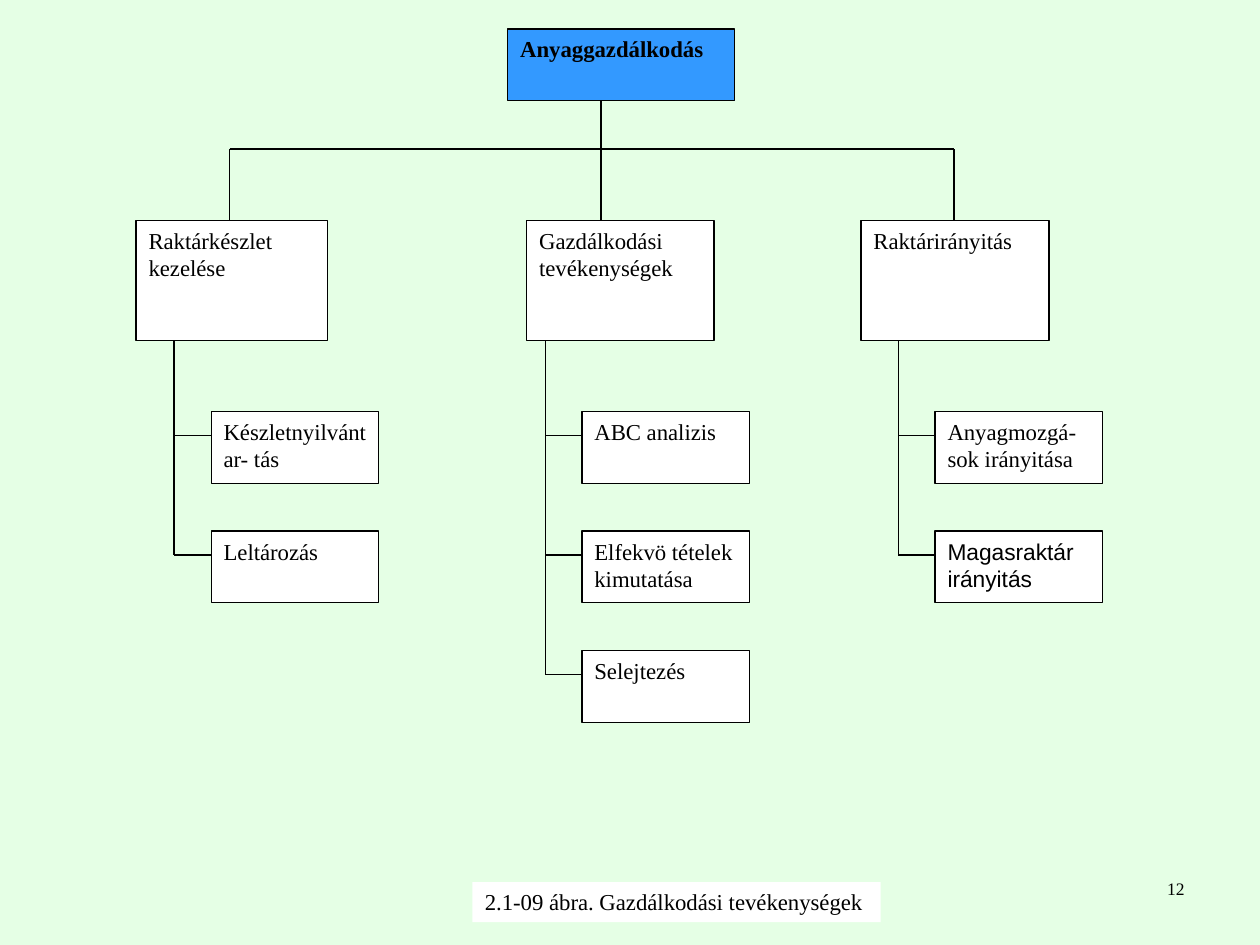
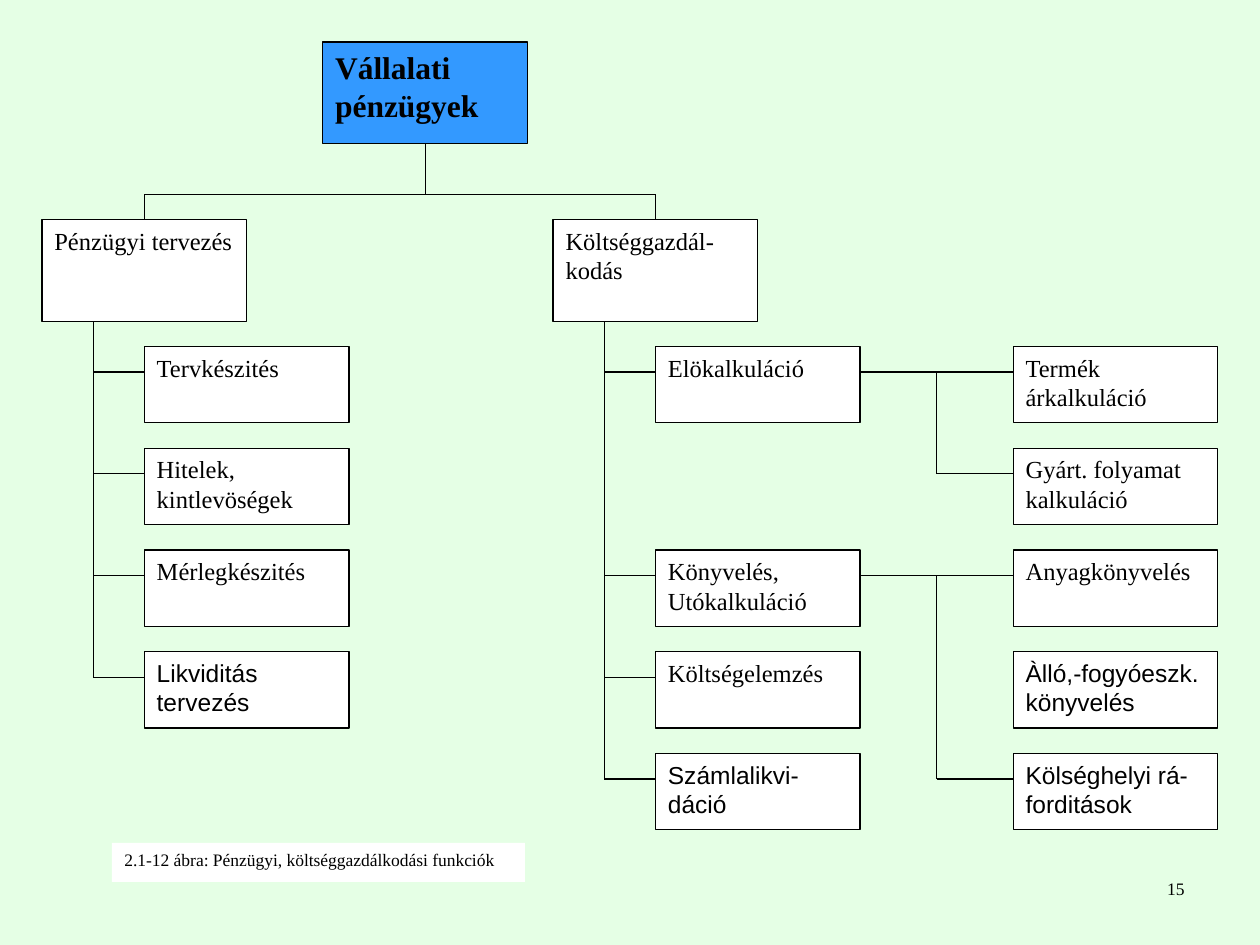
from lxml import etree
from pptx import Presentation
from pptx.dml.color import RGBColor
from pptx.enum import shapes, text
from pptx.oxml.ns import qn
from pptx.util import Pt

MINT = RGBColor(0xE5, 0xFF, 0xE5)
BLUE = RGBColor(0x33, 0x99, 0xFF)
WHITE = RGBColor(0xFF, 0xFF, 0xFF)
BLACK = RGBColor(0, 0, 0)
SERIF, SANS = "Times New Roman", "Arial"

SANS_LABELS = {
    "Magasraktár irányitás", "Likviditás tervezés", "Àlló,-fogyóeszk. könyvelés",
    "Kölséghelyi rá- forditások", "Számlalikvi-dáció",
}

# Boxes are (left, top, width, height). Items and details map a grid row to a label.
MATERIALS = {
    "number": "12",
    "caption": ("2.1-09 ábra. Gazdálkodási tevékenységek", (270, 504, 233.3, 23), 13),
    "root": ("Anyaggazdálkodás", (290.2, 16.6, 129.6, 41), 13),
    "stem": 343.4, "bus": 85.2, "head_top": 126, "head_height": 68.4,
    "size": 13, "first_row": 235.2, "pitch": 68.3,
    "item_width": 95.8, "item_height": 41, "tap": 13.7,
    "branches": [
        {"head": "Raktárkészlet kezelése", "left": 77.8, "width": 109.3,
         "drop": 131.3, "trunk": 99.5, "item_left": 120.7,
         "items": {0: "Készletnyilvántar- tás", 1: "Leltározás"}},
        {"head": "Gazdálkodási tevékenységek", "left": 301, "width": 107,
         "drop": 343.4, "trunk": 311.7, "item_left": 332.6,
         "items": {0: "ABC analizis", 1: "Elfekvö tételek kimutatása", 2: "Selejtezés"}},
        {"head": "Raktárirányitás", "left": 492, "width": 107.4,
         "drop": 545.2, "trunk": 513.3, "item_left": 534.4,
         "items": {0: "Anyagmozgá-sok irányitása", 1: "Magasraktár irányitás"}},
    ],
    "details": [],
}

FINANCES = {
    "number": "15",
    "caption": ("2.1-12 ábra: Pénzügyi, költséggazdálkodási funkciók",
                (64, 481.6, 236, 22.4), 10),
    "root": ("Vállalati pénzügyek", (184.4, 24, 116.9, 58), 18),
    "stem": 243.2, "bus": 111, "head_top": 125.6, "head_height": 58,
    "size": 14, "first_row": 198, "pitch": 58.15,
    "item_width": 116.9, "item_height": 43.6, "tap": 14.6,
    "branches": [
        {"head": "Pénzügyi tervezés", "left": 24, "width": 116.9,
         "drop": 82.5, "trunk": 53.3, "item_left": 82.5,
         "items": {0: "Tervkészités", 1: "Hitelek, kintlevöségek",
                   2: "Mérlegkészités", 3: "Likviditás tervezés"}},
        {"head": "Költséggazdál-kodás", "left": 316.1, "width": 116.9,
         "drop": 374.6, "trunk": 345.4, "item_left": 374.6,
         "items": {0: "Elökalkuláció", 2: "Könyvelés, Utókalkuláció",
                   3: "Költségelemzés", 4: "Számlalikvi-dáció"}},
    ],
    "details": [
        {"from": 491.5, "trunk": 535.3, "left": 579, "tapped": (0, 1),
         "items": {0: "Termék árkalkuláció", 1: "Gyárt. folyamat kalkuláció"}},
        {"from": 491.5, "trunk": 535.3, "left": 579, "tapped": (2, 4),
         "items": {2: "Anyagkönyvelés", 3: "Àlló,-fogyóeszk. könyvelés",
                   4: "Kölséghelyi rá- forditások"}},
    ],
}


def write(shape, label, size, bold=False, align=text.PP_ALIGN.LEFT):
    frame = shape.text_frame
    frame.word_wrap = True
    frame.vertical_anchor = text.MSO_ANCHOR.TOP
    paragraph = frame.paragraphs[0]
    paragraph.text = label
    paragraph.alignment = align
    font = paragraph.font
    font.name = SANS if label in SANS_LABELS else SERIF
    font.size, font.bold = Pt(size), bold
    font.color.rgb = BLACK


def add_box(slide, label, box, size, fill=WHITE, bold=False, outlined=True):
    kind = shapes.MSO_SHAPE.FLOWCHART_PROCESS if outlined else shapes.MSO_SHAPE.RECTANGLE
    shape = slide.shapes.add_shape(kind, *map(Pt, box))
    shape.shadow.inherit = False
    shape.fill.solid()
    shape.fill.fore_color.rgb = fill
    if outlined:
        shape.line.color.rgb = BLACK
        shape.line.width = Pt(0.75)
    else:
        shape.line.fill.background()
    write(shape, label, size, bold)


def add_line(slide, *ends):
    line = slide.shapes.add_connector(shapes.MSO_CONNECTOR.STRAIGHT, *map(Pt, ends))
    line.line.color.rgb = BLACK
    line.line.width = Pt(0.75)
    etree.SubElement(line._element.spPr, qn("a:effectLst"))


def add_chart_slide(presentation, chart):
    """Draw the root, its branches and their details on a new slide."""
    slide = presentation.slides.add_slide(presentation.slide_layouts[6])
    size, bus, head_top = chart["size"], chart["bus"], chart["head_top"]
    head_bottom = head_top + chart["head_height"]

    def row_top(row):
        return chart["first_row"] + row * chart["pitch"]

    def tap_y(row):
        return row_top(row) + chart["tap"]

    def add_items(left, items):
        for row, label in items.items():
            box = (left, row_top(row), chart["item_width"], chart["item_height"])
            add_box(slide, label, box, size)

    label, root_box, root_size = chart["root"]
    add_box(slide, label, root_box, root_size, BLUE, bold=True)
    add_line(slide, chart["stem"], root_box[1] + root_box[3], chart["stem"], bus)
    drops = [branch["drop"] for branch in chart["branches"]]
    add_line(slide, drops[0], bus, drops[-1], bus)

    for branch in chart["branches"]:
        head_box = (branch["left"], head_top, branch["width"], chart["head_height"])
        add_box(slide, branch["head"], head_box, size)
        add_line(slide, branch["drop"], bus, branch["drop"], head_top)
        add_items(branch["item_left"], branch["items"])
        trunk = branch["trunk"]
        add_line(slide, trunk, head_bottom, trunk, tap_y(max(branch["items"])))
        for row in branch["items"]:
            add_line(slide, trunk, tap_y(row), branch["item_left"], tap_y(row))

    for detail in chart["details"]:
        add_items(detail["left"], detail["items"])
        first, last = map(tap_y, detail["tapped"])
        add_line(slide, detail["from"], first, detail["left"], first)
        add_line(slide, detail["trunk"], first, detail["trunk"], last)
        add_line(slide, detail["trunk"], last, detail["left"], last)

    add_box(slide, *chart["caption"], outlined=False)
    number = slide.shapes.add_textbox(Pt(516), Pt(498), Pt(168), Pt(36))
    write(number, chart["number"], 10, align=text.PP_ALIGN.RIGHT)


def main():
    presentation = Presentation()
    presentation.slide_width, presentation.slide_height = Pt(720), Pt(540)
    background = presentation.slide_master.background.fill
    background.solid()
    background.fore_color.rgb = MINT
    for chart in (MATERIALS, FINANCES):
        add_chart_slide(presentation, chart)
    presentation.save("out.pptx")


if __name__ == "__main__":
    main()
